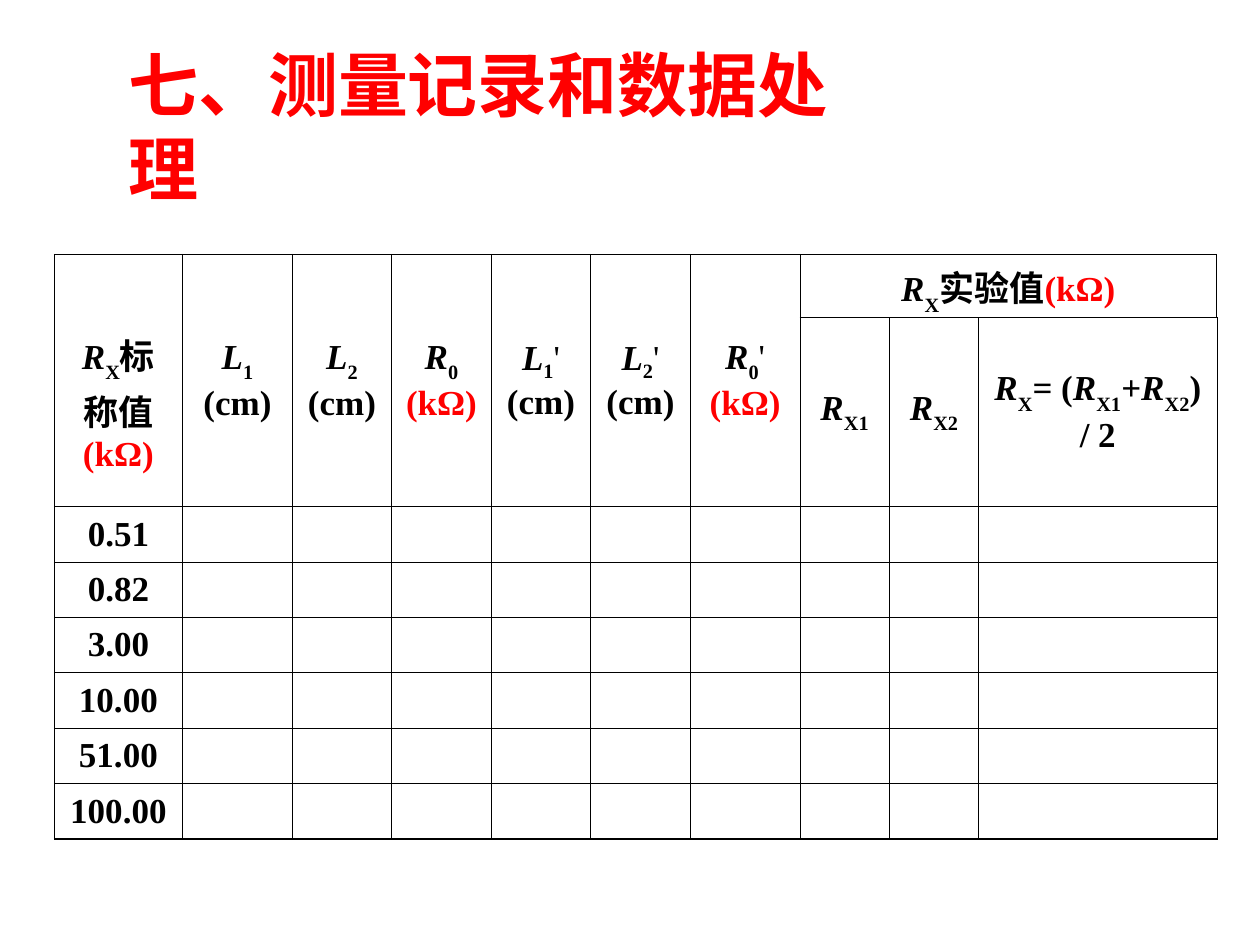
from typing import NamedTuple

from lxml import etree
from pptx import Presentation
from pptx.dml.color import RGBColor
from pptx.enum.text import MSO_ANCHOR, PP_ALIGN
from pptx.oxml.ns import qn
from pptx.util import Inches, Pt

CENTER = PP_ALIGN.CENTER
MIDDLE = MSO_ANCHOR.MIDDLE
FONT = "Times New Roman"
COLORS = {"ink": "000000", "accent": "FF0000"}

COLUMN_WIDTHS = [1.02, 0.87, 0.79, 0.79, 0.79, 0.79, 0.87, 0.71, 0.71, 1.89]
ROW_HEIGHTS = [0.5, 1.5] + [0.44] * 6
NOMINAL_VALUES = ["0.51", "0.82", "3.00", "10.00", "51.00", "100.00"]
HEADER_ROWS = 2
THIN, OUTER_SIDE, OUTER_EDGE = 0.45, 0.34, 0.96


class Piece(NamedTuple):
    text: str
    color: str = "ink"
    bold: bool = True
    italic: bool = False
    baseline: int = 0


class Header(NamedTuple):
    row: int
    column: int
    lines: list[list[Piece]]
    row_span: int = 1
    column_span: int = 1


def symbol(letter: str, index: str, drop: int = -30) -> list[Piece]:
    """Italic letter with an upright subscript."""
    return [Piece(letter, italic=True), Piece(index, baseline=drop)]


KILO_OHM = Piece("(kΩ)", color="accent")
CM = Piece("(cm)")
PRIME = Piece("'", bold=False)

MEASURED = [
    [symbol("L", "1"), [CM]],
    [symbol("L", "2"), [CM]],
    [symbol("R", "0"), [KILO_OHM]],
    [symbol("L", "1", -25) + [PRIME], [CM]],
    [symbol("L", "2", -25) + [PRIME], [CM]],
    [symbol("R", "0") + [PRIME], [KILO_OHM]],
]
MEAN = (symbol("R", "X") + [Piece("= (")] + symbol("R", "X1")
        + [Piece("+")] + symbol("R", "X2") + [Piece(") / 2")])
HEADERS = [
    Header(0, 0, [symbol("R", "X") + [Piece("标称值")], [KILO_OHM]], row_span=2),
    *(Header(0, column, lines, row_span=2)
      for column, lines in enumerate(MEASURED, start=1)),
    Header(0, 7, [symbol("R", "X") + [Piece("实验值"), KILO_OHM]], column_span=3),
    Header(1, 7, [symbol("R", "X1")]),
    Header(1, 8, [symbol("R", "X2")]),
    Header(1, 9, [MEAN]),
]


def add_piece(paragraph, piece: Piece, size: int) -> None:
    run = paragraph.add_run()
    run.text = piece.text
    font = run.font
    font.name, font.size = FONT, Pt(size)
    font.bold, font.italic = piece.bold, piece.italic
    font.color.rgb = RGBColor.from_string(COLORS[piece.color])
    if piece.baseline:
        run._r.get_or_add_rPr().set("baseline", str(piece.baseline * 1000))


def fill_cell(cell, lines: list[list[Piece]]) -> None:
    frame = cell.text_frame
    for number, pieces in enumerate(lines):
        paragraph = frame.add_paragraph() if number else frame.paragraphs[0]
        paragraph.alignment = CENTER
        for piece in pieces:
            add_piece(paragraph, piece, 20)


def set_borders(cell, widths: dict[str, float]) -> None:
    properties = cell._tc.get_or_add_tcPr()
    for position, (side, width) in enumerate(widths.items()):
        line = etree.Element(qn(f"a:{side}"), w=str(Pt(width)))
        fill = etree.SubElement(line, qn("a:solidFill"))
        etree.SubElement(fill, qn("a:srgbClr"), val=COLORS["ink"])
        properties.insert(position, line)


def add_title(slide) -> None:
    title = slide.shapes.add_textbox(Inches(0.92), Inches(0.61), Inches(6.3), Inches(0.77))
    frame = title.text_frame
    frame.word_wrap = False
    frame.vertical_anchor = MIDDLE
    add_piece(frame.paragraphs[0], Piece("七、测量记录和数据处理", color="accent"), 40)


def add_record_table(slide) -> None:
    rows, columns = len(ROW_HEIGHTS), len(COLUMN_WIDTHS)
    table = slide.shapes.add_table(
        rows, columns, Inches(0.43), Inches(2.02),
        Inches(sum(COLUMN_WIDTHS)), Inches(sum(ROW_HEIGHTS))).table
    table.first_row = table.horz_banding = False
    for column, width in zip(table.columns, COLUMN_WIDTHS):
        column.width = Inches(width)
    for row, height in zip(table.rows, ROW_HEIGHTS):
        row.height = Inches(height)

    for r in range(rows):
        for c in range(columns):
            cell = table.cell(r, c)
            cell.fill.background()
            cell.vertical_anchor = MIDDLE
            set_borders(cell, {
                "lnL": OUTER_SIDE if c == 0 else THIN,
                "lnR": OUTER_SIDE if c == columns - 1 else THIN,
                "lnT": OUTER_EDGE if r == 0 else THIN,
                "lnB": OUTER_EDGE if r == rows - 1 else THIN,
            })

    for header in HEADERS:
        cell = table.cell(header.row, header.column)
        if header.row_span > 1 or header.column_span > 1:
            cell.merge(table.cell(header.row + header.row_span - 1,
                                  header.column + header.column_span - 1))
        fill_cell(cell, header.lines)
    table.cell(0, 0).margin_top = Inches(0.38)

    for r, value in enumerate(NOMINAL_VALUES, start=HEADER_ROWS):
        fill_cell(table.cell(r, 0), [[Piece(value)]])


def main() -> None:
    presentation = Presentation()
    presentation.slide_width, presentation.slide_height = Inches(10), Inches(7.5)
    slide = presentation.slides.add_slide(presentation.slide_layouts[6])
    add_title(slide)
    add_record_table(slide)
    presentation.save("out.pptx")


if __name__ == "__main__":
    main()
